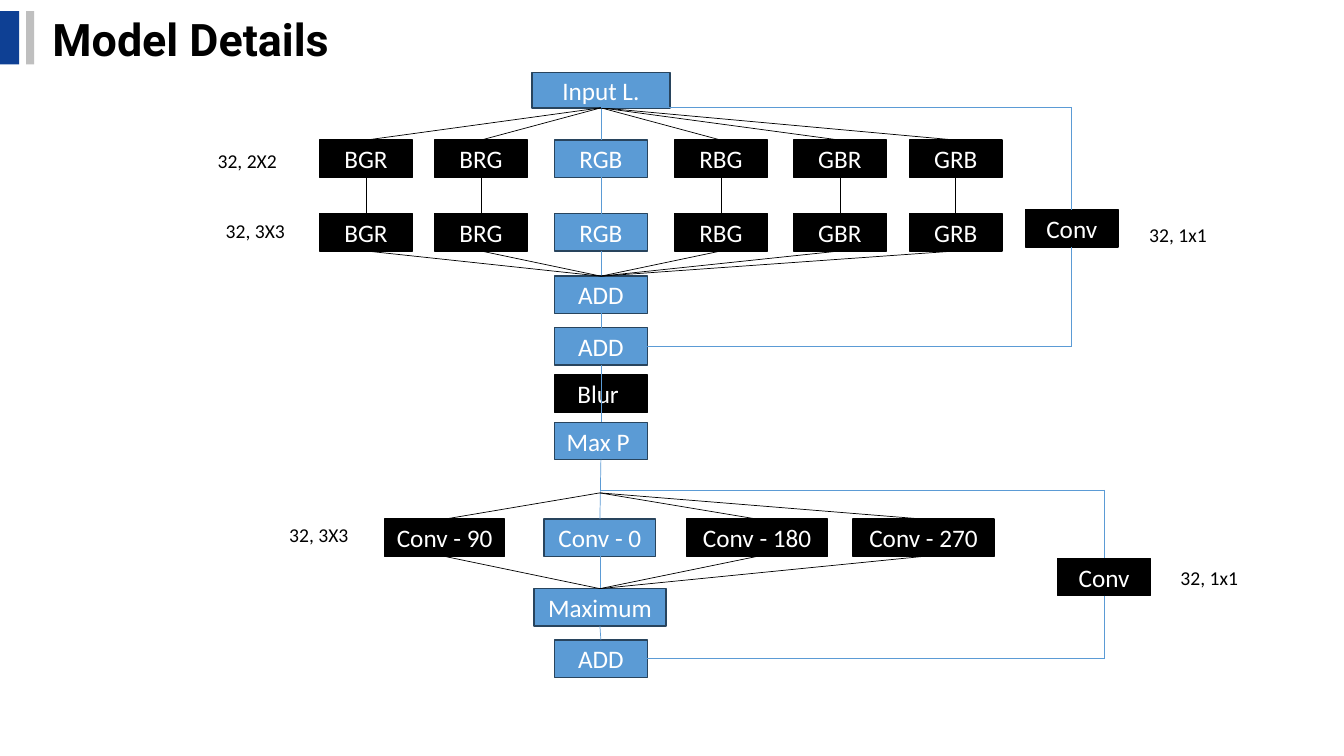
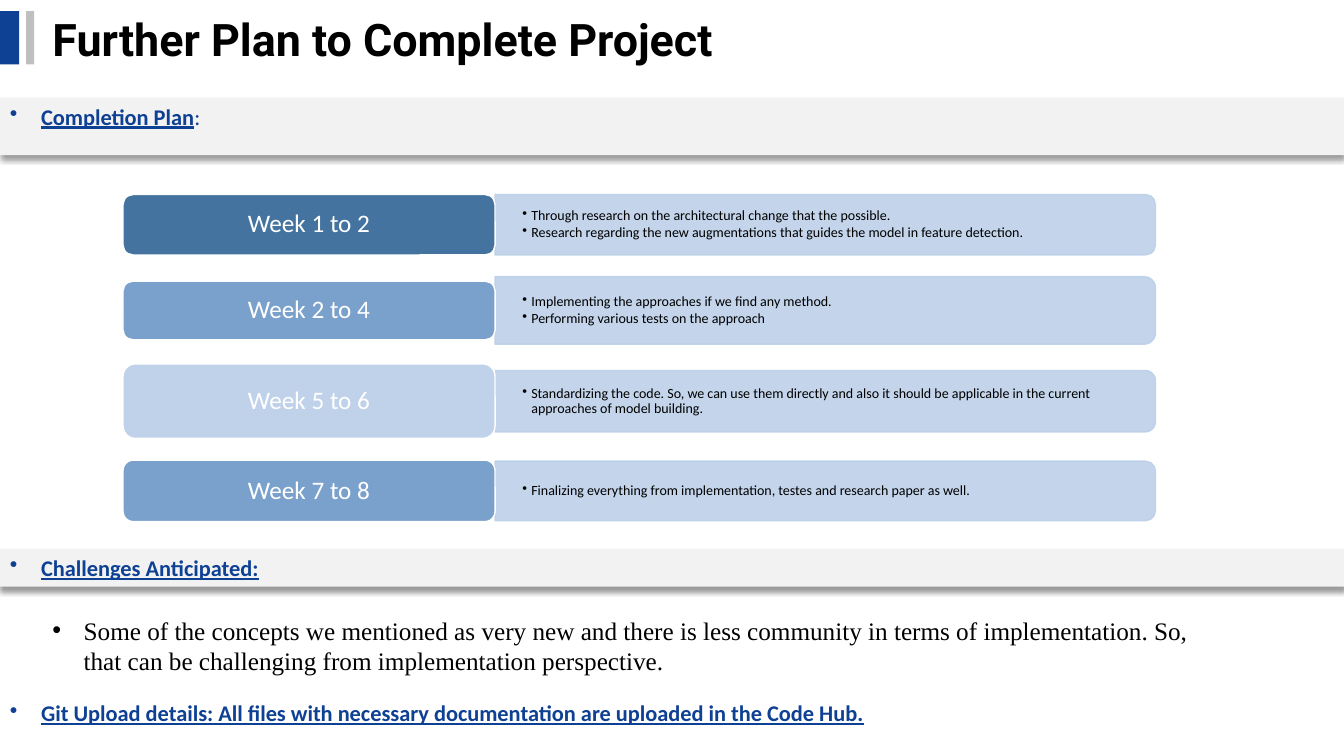
from lxml.etree import SubElement
from pptx import Presentation
from pptx.dml.color import RGBColor
from pptx.enum.shapes import MSO_CONNECTOR, MSO_SHAPE
from pptx.enum.text import MSO_ANCHOR, MSO_AUTO_SIZE, PP_ALIGN
from pptx.oxml.ns import qn
from pptx.util import Inches, Pt

NAVY = RGBColor(0x0E, 0x40, 0x94)
GRAY = RGBColor(0xBF, 0xBF, 0xBF)
BAND = RGBColor(0xF2, 0xF2, 0xF2)
BLACK = RGBColor(0, 0, 0)
WHITE = RGBColor(0xFF, 0xFF, 0xFF)
BLUE = RGBColor(0x5B, 0x9B, 0xD5)
EDGE = RGBColor(0x28, 0x44, 0x5D)
PALE = RGBColor(0xBD, 0xD0, 0xE9)
STEEL = RGBColor(0x43, 0x73, 0x9E)
MID = RGBColor(0x7A, 0xA1, 0xCC)
LIGHT = RGBColor(0xC0, 0xD2, 0xEA)

SLIDE_W, SLIDE_H = 13.33, 7.5
NODE_W, NODE_H = 0.92, 0.37
TOP, LEFT, BOTTOM, RIGHT = range(4)


# Shared helpers
def place(sp, x, y, w, h):
    sp.left, sp.top, sp.width, sp.height = map(Inches, (x, y, w, h))


def add_box(s, x, y, w, h, fill, line=None, kind=MSO_SHAPE.RECTANGLE):
    sp = s.shapes.add_shape(kind, *map(Inches, (x, y, w, h)))
    sp.shadow.inherit = False
    sp.fill.solid()
    sp.fill.fore_color.rgb = fill
    if line is None:
        sp.line.fill.background()
    else:
        sp.line.color.rgb = line
        sp.line.width = Pt(1)
    return sp


def add_run(p, text, size, color, font="Calibri", bold=False, underline=False):
    r = p.add_run()
    r.text = text
    f = r.font
    f.size, f.name, f.bold, f.underline = Pt(size), font, bold, underline
    f.color.rgb = color


def frame(sp, anchor=MSO_ANCHOR.TOP, margins=(0.1, 0.05)):
    tf = sp.text_frame
    tf.word_wrap = True
    tf.auto_size = MSO_AUTO_SIZE.NONE
    tf.vertical_anchor = anchor
    tf.margin_left = tf.margin_right = Inches(margins[0])
    tf.margin_top = tf.margin_bottom = Inches(margins[1])
    return tf


def add_text(s, x, y, w, h):
    return s.shapes.add_textbox(*map(Inches, (x, y, w, h)))


def set_bullet(p, indent=0.31):
    pPr = p._p.get_or_add_pPr()
    pPr.set("marL", str(Inches(indent)))
    pPr.set("indent", str(-Inches(indent)))
    SubElement(pPr, qn("a:buChar")).set("char", "•")
    p.alignment = PP_ALIGN.LEFT
    p.space_before = Pt(0)


def add_slide(prs, layout, title):
    s = prs.slides.add_slide(prs.slide_layouts[layout])
    add_box(s, 0, 0.11, 0.19, 0.53, NAVY)
    add_box(s, 0.26, 0.11, 0.08, 0.53, GRAY)
    place(s.shapes.title, 0.42, 0.06, 10.28, 0.64)
    p = frame(s.shapes.title, MSO_ANCHOR.MIDDLE).paragraphs[0]
    p.alignment = PP_ALIGN.LEFT
    add_run(p, title, 32, BLACK, "Roboto", bold=True)
    return s


# Network diagram parts
def add_node(s, cx, y, text, w=NODE_W, h=NODE_H, main=False):
    fill, line = (BLUE, EDGE) if main else (BLACK, BLACK)
    sp = add_box(s, cx - w / 2, y, w, h, fill, line)
    p = frame(sp, MSO_ANCHOR.MIDDLE).paragraphs[0]
    p.alignment = PP_ALIGN.CENTER
    add_run(p, text, 18, WHITE)
    return sp


def add_link(s, start, end, color=BLUE):
    """Each end is a (shape, side) pair or an (x, y) point in EMU."""
    (a, i), (b, j) = start, end
    c = s.shapes.add_connector(MSO_CONNECTOR.STRAIGHT, 0, 0, 0, 0)
    if isinstance(a, int):
        c.begin_x, c.begin_y = a, i
    else:
        c.begin_connect(a, i)
    if isinstance(b, int):
        c.end_x, c.end_y = b, j
    else:
        c.end_connect(b, j)
    c.line.color.rgb = color
    c.line.width = Pt(0.5)
    SubElement(c.element.spPr, qn("a:effectLst"))


def branch_color(branch, branches, main):
    return BLUE if branch is branches[main] else BLACK


def add_note(s, x, y, text):
    p = frame(add_text(s, x, y, 1.2, 0.34)).paragraphs[0]
    add_run(p, text, 14, BLACK)


def add_bypass(s, start, conv, end):
    """Side path from the start point through conv into the end node."""
    x = conv.left + conv.width // 2
    corner, foot = (x, start[1]), (x, end.top + end.height // 2)
    add_link(s, start, corner)
    add_link(s, corner, (conv, TOP))
    add_link(s, (conv, BOTTOM), foot)
    add_link(s, (end, RIGHT), foot)


def channel_stage(s, cx, y):
    """Channel permutations down to pooling; returns the last node."""
    offsets = (-2.33, -1.19, 0, 1.19, 2.37, 3.52)
    names = ("BGR", "BRG", "RGB", "RBG", "GBR", "GRB")
    main = names.index("RGB")
    source = add_node(s, cx, y, "Input L.", 1.37, 0.35, True)
    rows = [[add_node(s, cx + dx, y + dy, name, main=name == "RGB")
             for dx, name in zip(offsets, names)] for dy in (0.67, 1.4)]
    total, skip_sum, _, pool = [
        add_node(s, cx, y + dy, name, main=name != "Blur ")
        for dy, name in ((2.02, "ADD"), (2.53, "ADD"), (3, "Blur "), (3.47, "Max P "))]
    for upper, lower in zip(*rows):
        color = branch_color(upper, rows[0], main)
        add_link(s, (source, BOTTOM), (upper, TOP), color)
        add_link(s, (upper, BOTTOM), (lower, TOP), color)
        add_link(s, (lower, BOTTOM), (total, TOP), color)
    add_link(s, (total, BOTTOM), (skip_sum, TOP))
    add_link(s, (skip_sum, BOTTOM), (pool, TOP))

    conv = add_node(s, cx + 4.67, y + 1.36, "Conv")
    add_bypass(s, (Inches(cx), source.top + source.height), conv, skip_sum)
    add_note(s, cx - 3.9, y + 0.71, "32, 2X2")
    add_note(s, cx - 3.82, y + 1.4, "32, 3X3")
    add_note(s, cx + 5.34, y + 1.44, "32, 1x1")
    return pool


def rotation_stage(s, cx, y, pool):
    """Rotated convolutions fed by the pooling node."""
    branches = [add_node(s, cx + dx, y + 0.29, f"Conv - {angle}", w, main=angle == 0)
                for dx, angle, w in ((-1.54, 90, 1.19), (0, 0, 1.11),
                                     (1.56, 180, 1.4), (3.21, 270, 1.4))]
    peak = add_node(s, cx, y + 0.98, "Maximum", 1.31, main=True)
    total = add_node(s, cx + 0.01, y + 1.49, "ADD", main=True)
    for branch in branches:
        color = branch_color(branch, branches, 1)
        fork = (pool, BOTTOM) if color == BLUE else (Inches(cx), Inches(y + 0.03))
        add_link(s, fork, (branch, TOP), color)
        add_link(s, (branch, BOTTOM), (peak, TOP), color)
    add_link(s, (peak, BOTTOM), (total, TOP))

    conv = add_node(s, cx + 5, y + 0.68, "Conv")
    add_bypass(s, (Inches(cx), Inches(y)), conv, total)
    add_note(s, cx - 3.18, y + 0.28, "32, 3X3")
    add_note(s, cx + 5.66, y + 0.71, "32, 1x1")


# Plan slide parts
def add_heading(sp, text, tail=""):
    p = frame(sp).paragraphs[0]
    set_bullet(p)
    add_run(p, text, 16, NAVY, bold=True, underline=True)
    if tail:
        add_run(p, tail, 16, NAVY)


def add_band(s, y, h):
    sp = add_box(s, 0, y, SLIDE_W, h, BAND)
    effects = sp.element.spPr.find(qn("a:effectLst"))
    shadow = SubElement(effects, qn("a:outerShdw"), blurRad=str(Pt(4)),
                        dist=str(Pt(3)), dir="5400000", algn="t", rotWithShape="0")
    color = SubElement(shadow, qn("a:srgbClr"), val="000000")
    SubElement(color, qn("a:alpha"), val="40000")
    return sp


def plan_row(s, x, cy, label, fill, label_h, detail_h, items):
    """One week label with its detail panel, both centred near cy."""
    label_w, detail_w = 3.69, 6.55
    detail_x = x + label_w
    # Panel is a top-rounded rectangle turned a quarter to the right
    panel = add_box(s, detail_x + (detail_w - detail_h) / 2, cy - detail_w / 2,
                    detail_h, detail_w, PALE, PALE, MSO_SHAPE.ROUND_2_SAME_RECTANGLE)
    panel.rotation = 90
    for color in panel.element.spPr.iter(qn("a:srgbClr")):
        SubElement(color, qn("a:alpha"), val="90000")
    tf = frame(add_text(s, detail_x, cy - detail_h / 2, detail_w, detail_h),
               MSO_ANCHOR.MIDDLE, (0.27, 0.05))
    for i, item in enumerate(items):
        p = tf.add_paragraph() if i else tf.paragraphs[0]
        set_bullet(p, 0.09)
        p.line_spacing = 0.9
        p.space_after = Pt(1.5)
        add_run(p, item, 10, BLACK)

    tab = add_box(s, x, cy - label_h / 2, label_w, label_h, fill, WHITE,
                  MSO_SHAPE.ROUNDED_RECTANGLE)
    p = frame(tab, MSO_ANCHOR.MIDDLE).paragraphs[0]
    p.alignment = PP_ALIGN.CENTER
    p.line_spacing = 0.9
    add_run(p, label, 18, WHITE)


PLAN = (
    (2.23, "Week 1 to 2", STEEL, 0.6, 0.6,
     ("Through research on the architectural change that the possible.",
      "Research regarding the new augmentations that guides the model in feature detection.")),
    (3.08, "Week 2 to 4", MID, 0.58, 0.67,
     ("Implementing the approaches if we find any method.",
      "Performing various tests on the approach")),
    (3.98, "Week 5 to 6", LIGHT, 0.74, 0.61,
     ("Standardizing the code. So, we can use them directly and also it should be "
      "applicable in the current approaches of model building.",)),
    (4.87, "Week 7 to 8", MID, 0.61, 0.59,
     ("Finalizing everything from implementation, testes and research paper as well.",)),
)


# Slides
def model_slide(prs):
    s = add_slide(prs, 5, "Model Details")
    pool = channel_stage(s, 5.96, 0.72)
    rotation_stage(s, 5.95, 4.86, pool)


def plan_slide(prs):
    s = add_slide(prs, 1, "Further Plan to Complete Project")
    add_heading(add_band(s, 0.97, 0.57), "Completion Plan", ":")
    for row in PLAN:
        plan_row(s, 1.22, *row)
    add_heading(add_band(s, 5.45, 0.37), "Challenges Anticipated:")
    body = s.placeholders[1]
    place(body, 0.42, 6.05, 11.68, 0.71)
    p = frame(body).paragraphs[0]
    set_bullet(p)
    add_run(p, "Some of the concepts we mentioned as very new and there is less community "
            "in terms of implementation. So, that can be challenging from implementation "
            "perspective.", 18, BLACK, "Times New Roman")
    add_heading(add_text(s, 0, 6.89, 11.68, 0.57),
                "Git Upload details: All files with necessary documentation are "
                "uploaded in the Code Hub.")


def main():
    prs = Presentation()
    prs.slide_width, prs.slide_height = Inches(SLIDE_W), Inches(SLIDE_H)
    model_slide(prs)
    plan_slide(prs)
    prs.save("out.pptx")


if __name__ == "__main__":
    main()
